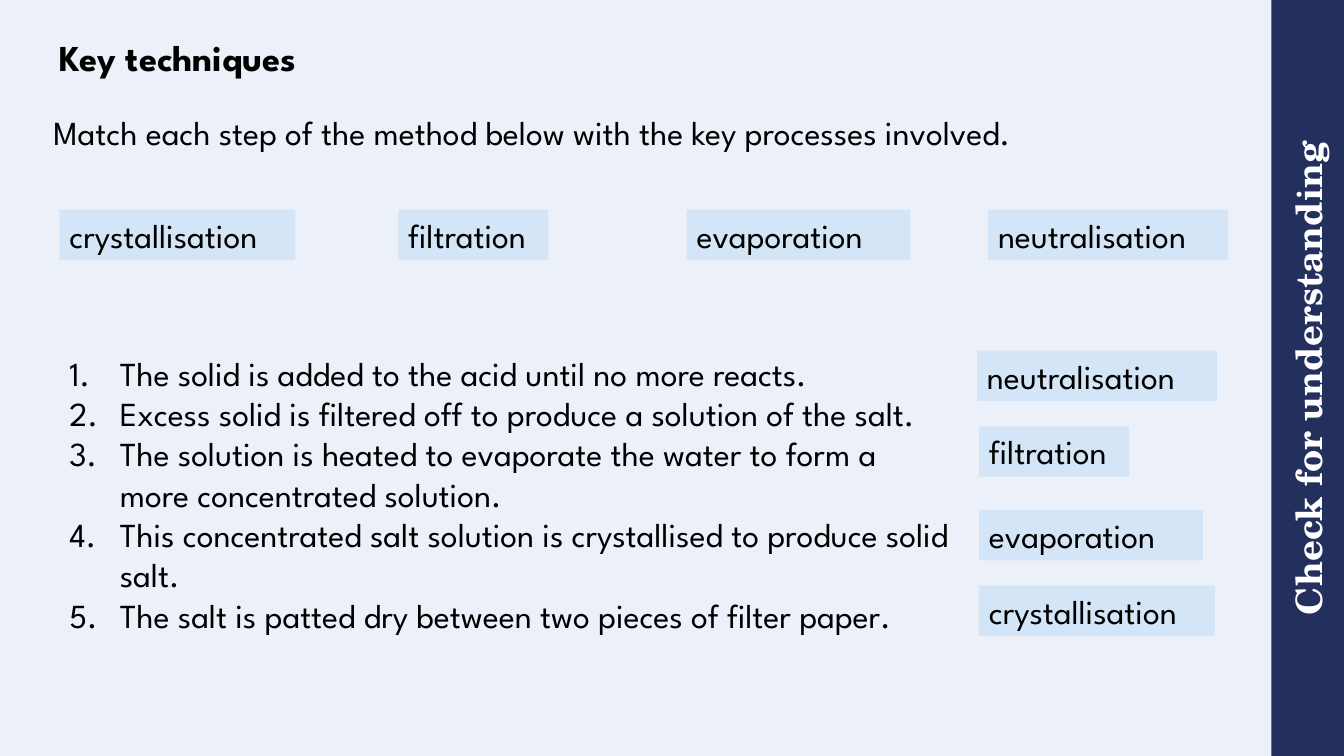
from dataclasses import dataclass

from lxml.etree import SubElement
from pptx import Presentation
from pptx.dml.color import RGBColor
from pptx.enum.shapes import MSO_SHAPE
from pptx.enum.text import MSO_ANCHOR, PP_ALIGN
from pptx.oxml.ns import qn
from pptx.slide import Slide
from pptx.text.text import Font, TextFrame
from pptx.util import Inches

from pptx.util import Pt

BODY_FONT = "League Spartan"
BANNER_FONT = "TeX Gyre Schola"
BLACK, WHITE, NAVY = "000000", "FFFFFF", "232F5D"
BACKGROUND, LABEL_BLUE = "ECF1F9", "D3E5F6"

LABEL_HEIGHT = 0.5
LABEL_WIDTHS = {
    "crystallisation": 2.34,
    "filtration": 1.49,
    "evaporation": 2.22,
    "neutralisation": 2.38,
}


@dataclass(frozen=True)
class Label:
    process: str
    left: float
    top: float


CHOICES_TOP = 2.08
LABELS = [
    # Choices above the method
    Label("crystallisation", 0.59, CHOICES_TOP),
    Label("filtration", 3.95, CHOICES_TOP),
    Label("evaporation", 6.81, CHOICES_TOP),
    Label("neutralisation", 9.8, CHOICES_TOP),
    # Answers beside the steps
    Label("neutralisation", 9.69, 3.48),
    Label("filtration", 9.71, 4.23),
    Label("evaporation", 9.71, 5.06),
    Label("crystallisation", 9.71, 5.81),
]

STEPS = [
    "The solid is added to the acid until no more reacts.",
    "Excess solid is filtered off to produce a solution of the salt.",
    "The solution is heated to evaporate the water to form a more concentrated solution.",
    "This concentrated salt solution is crystallised to produce solid salt.",
    "The salt is patted dry between two pieces of filter paper.",
]


def rgb(value: str) -> RGBColor:
    return RGBColor.from_string(value)


def style(font: Font, size: float = 24, name: str = BODY_FONT,
          color: str = BLACK, bold: bool = False) -> None:
    font.size = Pt(size)
    font.name = name
    font.bold = bold
    font.color.rgb = rgb(color)


def remove_insets(frame: TextFrame) -> None:
    frame.margin_left = frame.margin_right = 0
    frame.margin_top = frame.margin_bottom = 0


def add_block(slide: Slide, left: float, top: float, width: float,
              height: float, fill: str):
    block = slide.shapes.add_shape(
        MSO_SHAPE.RECTANGLE, Inches(left), Inches(top), Inches(width), Inches(height))
    block.shadow.inherit = False
    block.fill.solid()
    block.fill.fore_color.rgb = rgb(fill)
    block.line.fill.background()
    return block


def add_banner(slide: Slide) -> None:
    banner = add_block(slide, 9.22, 3.39, 7.5, 0.72, NAVY)
    banner.rotation = 270
    frame = banner.text_frame
    remove_insets(frame)
    frame.vertical_anchor = MSO_ANCHOR.MIDDLE
    heading = frame.paragraphs[0]
    heading.text = "Check for understanding"
    heading.alignment = PP_ALIGN.CENTER
    style(heading.font, 26, BANNER_FONT, WHITE, bold=True)


def set_title(slide: Slide) -> None:
    title = slide.shapes.title
    title.left, title.top = Inches(0.59), Inches(0)
    title.width, title.height = Inches(11.61), Inches(0.79)
    frame = title.text_frame
    remove_insets(frame)
    frame.vertical_anchor = MSO_ANCHOR.BOTTOM
    heading = frame.paragraphs[0]
    heading.text = "Key techniques"
    heading.alignment = PP_ALIGN.LEFT
    heading.line_spacing = 0.9
    style(heading.font, 26, bold=True)


def add_text(slide: Slide, left: float, top: float, width: float, height: float,
             lines: list[str], numbered: bool = False) -> None:
    box = slide.shapes.add_textbox(
        Inches(left), Inches(top), Inches(width), Inches(height))
    frame = box.text_frame
    frame.word_wrap = True
    for index, line in enumerate(lines):
        paragraph = frame.add_paragraph() if index else frame.paragraphs[0]
        paragraph.text = line
        if numbered:
            properties = paragraph._p.get_or_add_pPr()
            properties.set("marL", str(Inches(0.5)))
            properties.set("indent", str(Inches(-0.5)))
            SubElement(properties, qn("a:buFont"), typeface="+mj-lt")
            SubElement(properties, qn("a:buAutoNum"), type="arabicPeriod")
        style(paragraph.font)


def add_label(slide: Slide, label: Label) -> None:
    block = add_block(slide, label.left, label.top,
                      LABEL_WIDTHS[label.process], LABEL_HEIGHT, LABEL_BLUE)
    frame = block.text_frame
    frame.word_wrap = True
    frame.vertical_anchor = MSO_ANCHOR.TOP
    process = frame.paragraphs[0]
    process.text = label.process
    process.alignment = PP_ALIGN.LEFT
    style(process.font)


def main() -> None:
    deck = Presentation()
    deck.slide_width, deck.slide_height = Inches(13.33), Inches(7.5)
    slide = deck.slides.add_slide(deck.slide_layouts[5])
    slide.background.fill.solid()
    slide.background.fill.fore_color.rgb = rgb(BACKGROUND)

    # Banner and title
    add_banner(slide)
    set_title(slide)

    # Method and task
    add_text(slide, 0.59, 3.45, 8.95, 3.74, STEPS, numbered=True)
    add_text(slide, 0.43, 1.06, 12.09, 0.5,
             ["Match each step of the method below with the key processes involved."])

    # Process labels
    for label in LABELS:
        add_label(slide, label)

    deck.save("out.pptx")


if __name__ == "__main__":
    main()
